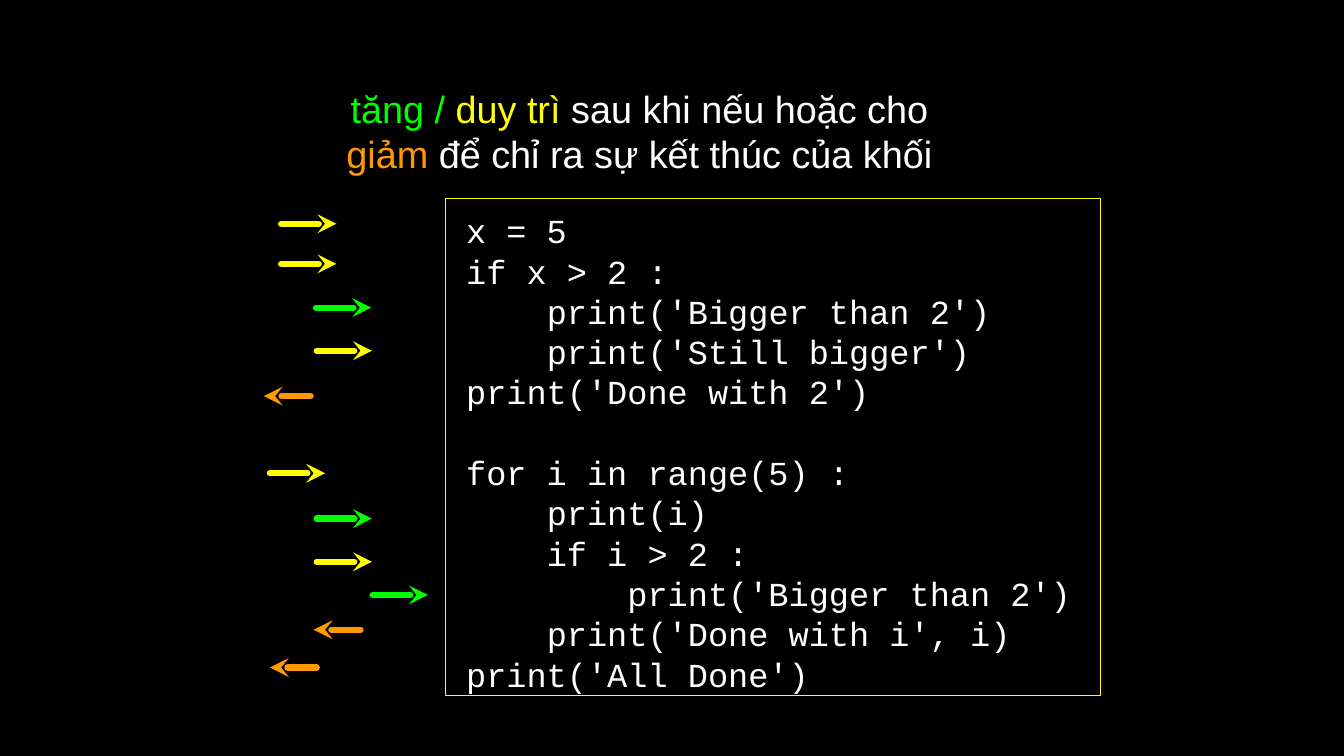
import pptx
import pptx.dml.color
import pptx.enum.shapes
import pptx.enum.text
import pptx.oxml
import pptx.oxml.ns
import pptx.util
from pptx.util import Inches

COLORS = {
    "background": "000000",
    "text": "FFFFFF",
    "maintain": "FFFF00",
    "increase": "00FF00",
    "decrease": "FF9900",
}
ARROW_LENGTHS = {"maintain": 0.73, "increase": 0.73, "decrease": -0.62}
CODE_SIZE = 32
CHARACTER_WIDTH = 0.6 * CODE_SIZE
CODE_PITCH = 38.4


class IndentSlide:
    def __init__(self, deck):
        self.slide = deck.slides.add_slide(deck.slide_layouts[5])
        fill = self.slide.background.fill
        fill.solid()
        fill.fore_color.rgb = self.color("background")

    def color(self, name):
        return pptx.dml.color.RGBColor.from_string(COLORS[name])

    def prepare(self, frame):
        frame.margin_left = frame.margin_right = 0
        frame.margin_top = frame.margin_bottom = 0
        frame.vertical_anchor = pptx.enum.text.MSO_ANCHOR.MIDDLE
        frame.auto_size = pptx.enum.text.MSO_AUTO_SIZE.NONE
        frame.word_wrap = True

    def paragraph(self, frame, index):
        return frame.paragraphs[0] if index == 0 else frame.add_paragraph()

    def span(self, para, text, font, size, color):
        span = para.add_run()
        span.text = text
        span.font.name = font
        span.font.size = pptx.util.Pt(size)
        span.font.bold = False
        span.font.color.rgb = self.color(color)

    def title(self, left, top, width, height, lines):
        box = self.slide.shapes.title
        box.left, box.top = Inches(left), Inches(top)
        box.width, box.height = Inches(width), Inches(height)
        frame = box.text_frame
        self.prepare(frame)
        for index, line in enumerate(lines):
            para = self.paragraph(frame, index)
            para.alignment = pptx.enum.text.PP_ALIGN.CENTER
            para.line_spacing = pptx.util.Pt(42.9)
            para.space_before = pptx.util.Pt(0)
            for text, color in line:
                self.span(para, text, "Arial", 36, color)

    def code(self, left, top, width, height, blocks):
        box = self.slide.shapes.add_shape(
            pptx.enum.shapes.MSO_SHAPE.RECTANGLE,
            Inches(left), Inches(top), Inches(width), Inches(height))
        box.shadow.inherit = False
        box.fill.background()
        box.line.color.rgb = self.color("maintain")
        box.line.width = pptx.util.Pt(1)
        frame = box.text_frame
        self.prepare(frame)
        frame.margin_top = Inches(0.13)
        index = 0
        for block_number, block in enumerate(blocks):
            for line_number, (level, text) in enumerate(block):
                para = self.paragraph(frame, index)
                para.alignment = pptx.enum.text.PP_ALIGN.LEFT
                para.line_spacing = pptx.util.Pt(CODE_PITCH)
                if block_number and line_number == 0:
                    para.space_before = pptx.util.Pt(CODE_PITCH)
                indent = pptx.util.Pt((1 + 4 * level) * CHARACTER_WIDTH)
                properties = para._p.get_or_add_pPr()
                properties.set("marL", str(indent))
                properties.set("indent", "0")
                self.span(para, text, "Courier New", CODE_SIZE, "text")
                index += 1

    def arrow(self, tip, y, change):
        arrow = self.slide.shapes.add_connector(
            pptx.enum.shapes.MSO_CONNECTOR.STRAIGHT,
            Inches(tip), Inches(y), Inches(tip - ARROW_LENGTHS[change]), Inches(y))
        arrow.line.color.rgb = self.color(change)
        arrow.line.width = pptx.util.Pt(6)
        line = arrow.line._get_or_add_ln()
        line.set("cap", "rnd")
        for tag in ("a:round", "a:headEnd"):
            part = pptx.oxml.parse_xml(f"<{tag} {pptx.oxml.ns.nsdecls('a')}/>")
            line.append(part)
        part.set("type", "stealth")
        arrow._element.spPr.append(
            pptx.oxml.parse_xml(f"<a:effectLst {pptx.oxml.ns.nsdecls('a')}/>"))


def main():
    deck = pptx.Presentation()
    deck.slide_width, deck.slide_height = Inches(17.78), Inches(10)
    page = IndentSlide(deck)
    page.title(4.53, 1.05, 7.86, 1.37, [
        [("tăng / ", "increase"), ("duy trì ", "maintain"),
         ("sau khi nếu hoặc cho", "text")],
        [("giảm ", "decrease"), ("để chỉ ra sự kết thúc của khối", "text")],
    ])
    page.code(5.9, 2.63, 8.66, 6.57, [
        [(0, "x = 5"),
         (0, "if x > 2 :"),
         (1, "print('Bigger than 2')"),
         (1, "print('Still bigger')"),
         (0, "print('Done with 2')")],
        [(0, "for i in range(5) :"),
         (1, "print(i)"),
         (1, "if i > 2 :"),
         (2, "print('Bigger than 2')"),
         (1, "print('Done with i', i)"),
         (0, "print('All Done')")],
    ])
    for tip, y, change in [
        (4.45, 2.96, "maintain"),
        (4.45, 3.49, "maintain"),
        (4.91, 4.07, "increase"),
        (4.92, 4.64, "maintain"),
        (3.49, 5.24, "decrease"),
        (4.3, 6.26, "maintain"),
        (4.92, 6.86, "increase"),
        (4.92, 7.43, "maintain"),
        (5.66, 7.87, "increase"),
        (4.15, 8.33, "decrease"),
        (3.57, 8.83, "decrease"),
    ]:
        page.arrow(tip, y, change)
    deck.save("out.pptx")


if __name__ == "__main__":
    main()
